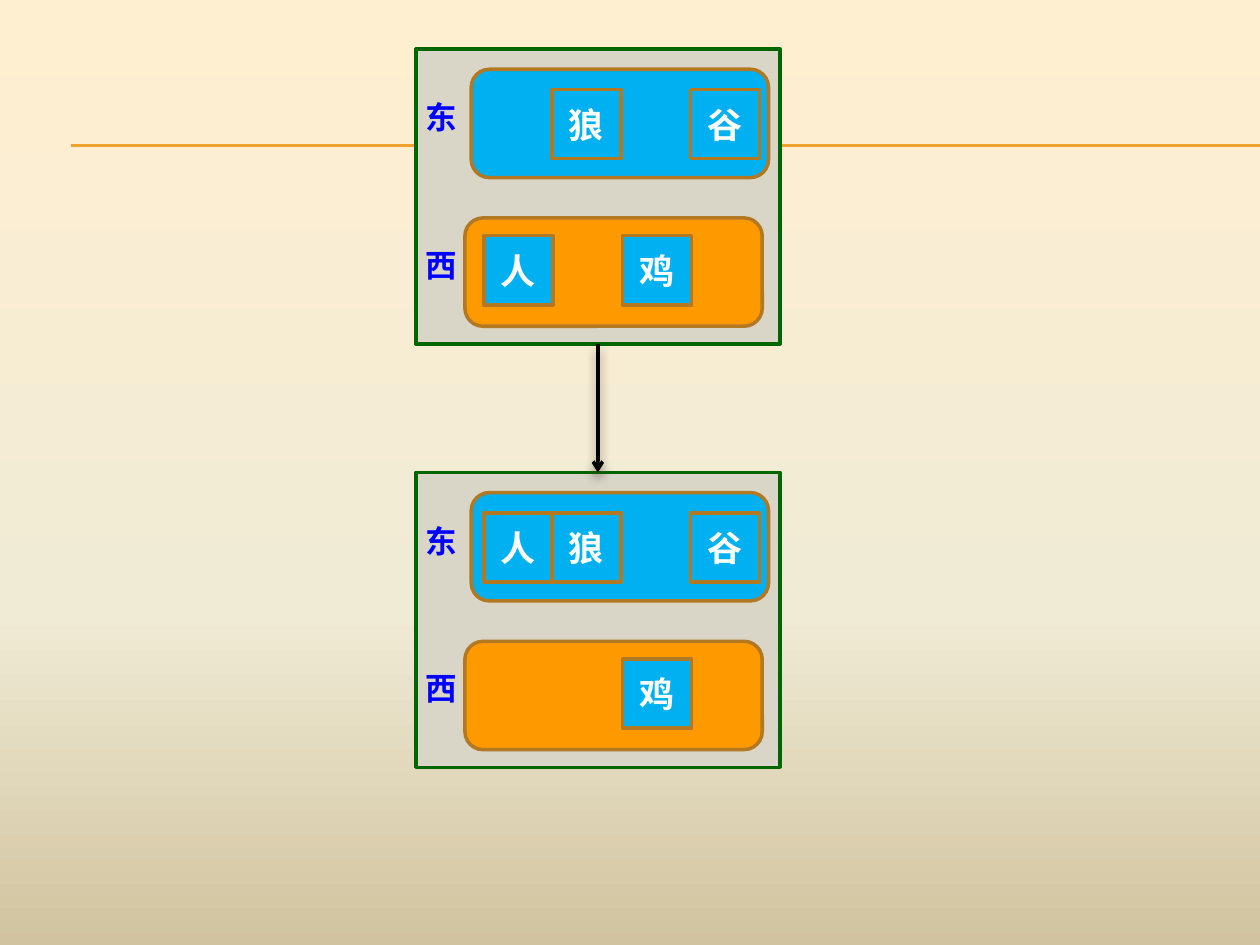
"""Build the river-crossing slide: two states of the banks joined by an arrow."""
from lxml import etree
from pptx import Presentation, util as u
from pptx.dml.color import RGBColor
from pptx.enum import shapes, text
from pptx.oxml import parse_xml
from pptx.oxml.ns import nsdecls, qn

Inches = u.Inches
RECT = shapes.MSO_SHAPE.RECTANGLE
ROUNDED = shapes.MSO_SHAPE.ROUNDED_RECTANGLE


def color(value):
    return RGBColor.from_string(value)


def add_block(group, kind, left, top, width, height, fill, line):
    block = group.shapes.add_shape(kind, Inches(left), Inches(top), Inches(width), Inches(height))
    block.shadow.inherit = False
    block.fill.solid()
    block.fill.fore_color.rgb = color(fill)
    block.line.color.rgb = color(line)
    block.line.width = u.Pt(2)
    return block


deck = Presentation()
deck.slide_width, deck.slide_height = Inches(10), Inches(7.5)
page = deck.slides.add_slide(deck.slide_layouts[6])

background = page.background.fill
background.gradient()
background.gradient_angle = 270
stops = page.background._cSld.find(".//" + qn("a:gsLst"))
for stop in list(stops):
    stops.remove(stop)
for position, shade in ((0, "FFEFD1"), (65, "F0EBD5"), (100, "D1C39F")):
    stop = etree.SubElement(stops, qn("a:gs"), pos=str(position * 1000))
    etree.SubElement(stop, qn("a:srgbClr"), val=shade)

for height in (1.15, 1.16):
    rule = page.shapes.add_connector(
        shapes.MSO_CONNECTOR.STRAIGHT, Inches(0.56), Inches(height), Inches(10), Inches(height))
    rule.line.color.rgb = color("F0A22E")
    rule.line.width = u.Pt(0.75)
    etree.SubElement(rule._element.spPr, qn("a:effectLst"))

banks = (("东", 3.74, 0.16, 0.34, "00B0F0"), ("西", 3.69, 1.34, 1.51, "FF9900"))
piece_left = {"人": 3.84, "狼": 4.38, "鸡": 4.94, "谷": 5.48}
piece_offset = {"东": 0.32, "西": 1.48}
states = ((0.39, {"东": "狼谷", "西": "人鸡"}), (3.75, {"东": "人狼谷", "西": "鸡"}))

panels = []
for top, places in states:
    group = page.shapes.add_group_shape()
    panels.append(add_block(group, RECT, 3.3, top, 2.89, 2.34, "D9D5C7", "006600"))
    for name, left, bank_offset, label_offset, fill in banks:
        add_block(group, ROUNDED, left, top + bank_offset, 2.36, 0.86, fill, "B27822")

        label = group.shapes.add_textbox(
            Inches(3.28), Inches(top + label_offset), Inches(0.47), Inches(0.4))
        label.text_frame.word_wrap = True
        label.text_frame.auto_size = text.MSO_AUTO_SIZE.SHAPE_TO_FIT_TEXT
        span = label.text_frame.paragraphs[0].add_run()
        span.text = name
        span.font.size = u.Pt(18)
        span.font.bold = True
        span.font.name = "Noto Sans CJK SC"
        span.font.color.rgb = color("0000FF")
        etree.SubElement(span._r.get_or_add_rPr(), qn("a:ea"), typeface="Noto Sans CJK SC")

        for piece in places[name]:
            box = add_block(group, RECT, piece_left[piece], top + piece_offset[name],
                            0.55, 0.55, "00B0F0", "B27822")
            box.text_frame.vertical_anchor = text.MSO_ANCHOR.MIDDLE
            para = box.text_frame.paragraphs[0]
            para.alignment = text.PP_ALIGN.CENTER
            span = para.add_run()
            span.text = piece
            span.font.size = u.Pt(20)
            span.font.bold = True
            span.font.name = "Cabin"
            span.font.color.rgb = color("FFFFFF")

arrow = page.shapes.add_connector(
    shapes.MSO_CONNECTOR.STRAIGHT, Inches(4.74), Inches(2.73), Inches(4.74), Inches(3.75))
arrow.begin_connect(panels[0], 2)
arrow.end_connect(panels[1], 0)
arrow.line.color.rgb = color("000000")
arrow.line.width = u.Pt(2)
etree.SubElement(arrow.line._get_or_add_ln(), qn("a:tailEnd"), type="arrow")
arrow._element.spPr.append(parse_xml(
    f'<a:effectLst {nsdecls("a")}><a:outerShdw blurRad="{u.Pt(6)}" dist="{u.Pt(4)}" dir="5400000" '
    'rotWithShape="0"><a:srgbClr val="4E3B30"><a:alpha val="60000"/></a:srgbClr>'
    '</a:outerShdw></a:effectLst>'))

deck.save("out.pptx")
